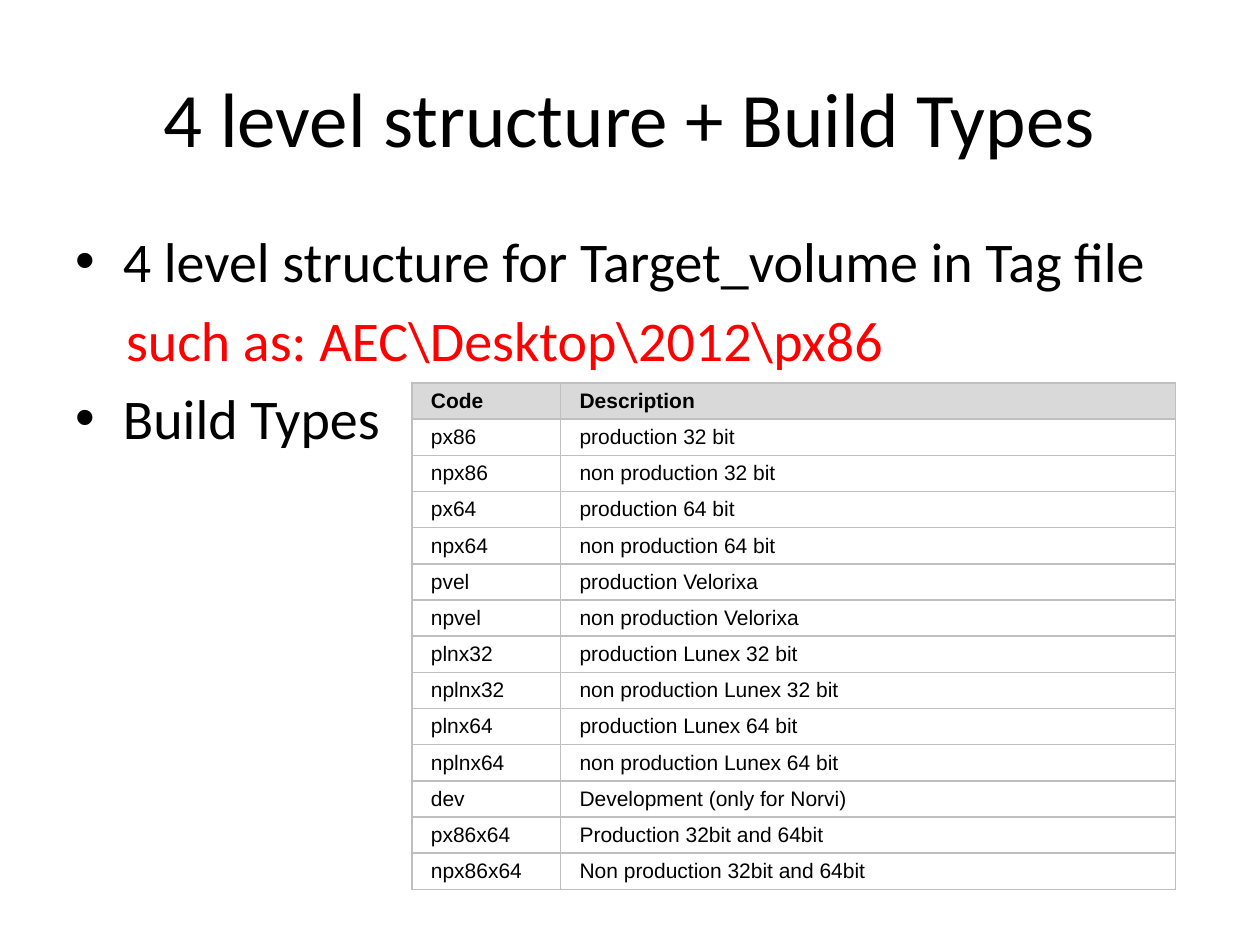
import pptx
import pptx.dml.color
import pptx.enum.text
import pptx.oxml
import pptx.oxml.ns
import pptx.util
from pptx.util import Inches

COLOURS = {"text": "000000", "accent": "FF0000", "header": "D9D9D9", "border": "BFBFBF"}
BULLETS = [
    ("4 level structure for Target_volume in Tag file", True),
    ("such as: AEC\\Desktop\\2012\\px86", False),
    ("Build Types", True),
]
BUILD_TYPES = [
    ("Code", "Description"),
    ("px86", "production 32 bit"),
    ("npx86", "non production 32 bit"),
    ("px64", "production 64 bit"),
    ("npx64", "non production 64 bit"),
    ("pvel", "production Velorixa"),
    ("npvel", "non production Velorixa"),
    ("plnx32", "production Lunex 32 bit"),
    ("nplnx32", "non production Lunex 32 bit"),
    ("plnx64", "production Lunex 64 bit"),
    ("nplnx64", "non production Lunex 64 bit"),
    ("dev", "Development (only for Norvi)"),
    ("px86x64", "Production 32bit and 64bit"),
    ("npx86x64", "Non production 32bit and 64bit"),
]


def colour(name):
    """Return the named colour."""
    return pptx.dml.color.RGBColor.from_string(COLOURS[name])


def format_runs(para, size, font, colour_name="text", bold=False):
    """Format every run of a paragraph."""
    for span in para.runs:
        span.font.size = pptx.util.Pt(size)
        span.font.name = font
        span.font.bold = bold
        span.font.color.rgb = colour(colour_name)


def place(shape, box):
    """Move a shape to a box of left, top, width and height."""
    shape.left, shape.top, shape.width, shape.height = map(Inches, box)


def add_title(page, text, box):
    """Fill the title placeholder."""
    place(page.shapes.title, box)
    page.shapes.title.text_frame.text = text
    format_runs(page.shapes.title.text_frame.paragraphs[0], 44, "Calibri")


def add_bullets(page, items, box):
    """Fill the body placeholder with bulleted and plain lines."""
    body = page.placeholders[1]
    place(body, box)
    body.text_frame.text = "\n".join(text for text, bulleted in items)
    for para, (text, bulleted) in zip(body.text_frame.paragraphs, items):
        format_runs(para, 32, "Calibri", "text" if bulleted else "accent")
        if not bulleted:
            properties = para._p.get_or_add_pPr()
            properties.set("marL", str(Inches(0.4)))
            properties.set("indent", "0")
            properties.append(pptx.oxml.parse_xml(
                f"<a:buNone {pptx.oxml.ns.nsdecls('a')}/>"))


def add_borders(cell):
    """Draw a thin line on all four sides of a cell."""
    properties = cell._tc.get_or_add_tcPr()
    for position, side in enumerate(("lnL", "lnR", "lnT", "lnB")):
        properties.insert(position, pptx.oxml.parse_xml(
            f'<a:{side} {pptx.oxml.ns.nsdecls("a")} w="12700"><a:solidFill>'
            f'<a:srgbClr val="{COLOURS["border"]}"/></a:solidFill></a:{side}>'))


def format_cell(cell, text, is_header):
    """Write and format one table cell."""
    cell.margin_left = Inches(0.15)
    cell.margin_top = cell.margin_bottom = 0
    cell.vertical_anchor = pptx.enum.text.MSO_ANCHOR.MIDDLE
    if is_header:
        cell.fill.solid()
        cell.fill.fore_color.rgb = colour("header")
    else:
        cell.fill.background()
    cell.text_frame.text = text
    format_runs(cell.text_frame.paragraphs[0], 12, "Arial", bold=is_header)
    add_borders(cell)


def add_build_table(page, rows, box, code_width):
    """Add the table of build types."""
    left, top, width, height = box
    table = page.shapes.add_table(len(rows), 2, *map(Inches, box)).table
    table.horz_banding = False
    table.columns[0].width = Inches(code_width)
    table.columns[1].width = Inches(width - code_width)
    for row_index, texts in enumerate(rows):
        table.rows[row_index].height = Inches(height / len(rows))
        for column_index, text in enumerate(texts):
            format_cell(table.cell(row_index, column_index), text, row_index == 0)


def main():
    """Build and save the deck."""
    deck = pptx.Presentation()
    deck.slide_width, deck.slide_height = Inches(10), Inches(7.5)
    page = deck.slides.add_slide(deck.slide_layouts[1])
    add_title(page, "4 level structure + Build Types", (0.5, 0.3, 9, 1.25))
    add_bullets(page, BULLETS, (0.5, 1.75, 9, 4.95))
    add_build_table(page, BUILD_TYPES, (3.27, 3.04, 6.06, 4.02), 1.18)
    deck.save("out.pptx")


main()
